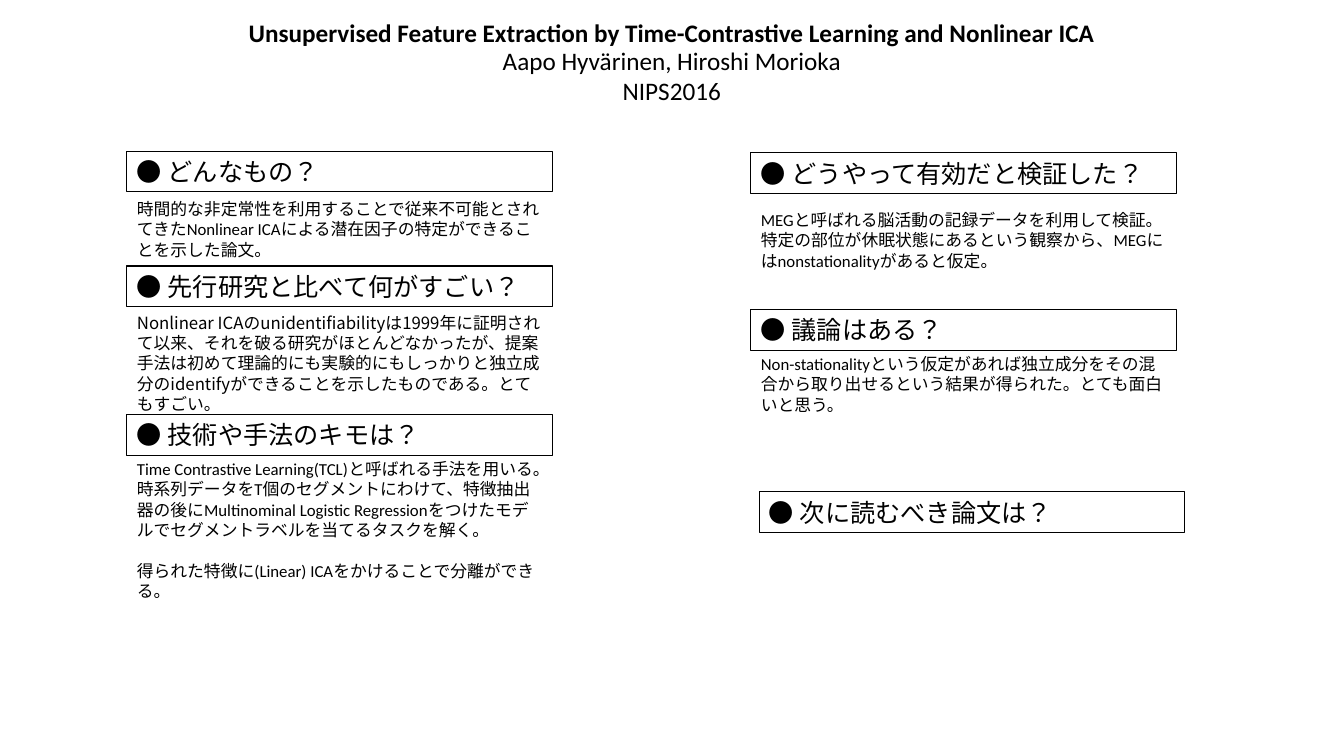
from dataclasses import dataclass

from pptx import Presentation
from pptx.dml.color import RGBColor
from pptx.enum.lang import MSO_LANGUAGE_ID
from pptx.enum.shapes import MSO_SHAPE
from pptx.enum.text import MSO_ANCHOR, MSO_AUTO_SIZE, PP_ALIGN
from pptx.util import Pt


@dataclass(frozen=True)
class Theme:
    """Colours, fonts and type sizes of the slide."""
    ink: RGBColor = RGBColor(0, 0, 0)
    font: str = "Calibri"
    wide_font: str = "Noto Sans CJK JP"
    heading_size: float = 18
    body_size: float = 12
    body_leading: float = 14.5
    rule: float = 0.75


@dataclass(frozen=True)
class Section:
    """A heading with its top and the paragraphs with theirs."""
    heading: str
    top: float
    body_top: float = 0
    body: tuple = ()
    font: str = Theme.font
    indent: float = 0


THEME = Theme()
HEADING_HEIGHT = 29.1
COLUMN_WIDTH = 304
LEFT_SECTIONS = (
    Section("どんなもの？", 108, 138.2, (
        "時間的な非定常性を利用することで従来不可能とされてきたNonlinear ICAによる"
        "潜在因子の特定ができることを示した論文。",)),
    Section("先行研究と比べて何がすごい？", 190, 219.6, (
        "Nonlinear ICAのunidentifiabilityは1999年に証明されて以来、それを破る研究が"
        "ほとんどなかったが、提案手法は初めて理論的にも実験的にもしっかりと独立成分の"
        "identifyができることを示したものである。とてもすごい。",), THEME.wide_font),
    Section("技術や手法のキモは？", 296, 324, (
        "Time Contrastive Learning(TCL)と呼ばれる手法を用いる。",
        "時系列データをT個のセグメントにわけて、特徴抽出器の後にMultinominal Logistic "
        "Regressionをつけたモデルでセグメントラベルを当てるタスクを解く。",
        "得られた特徴に(Linear) ICAをかけることで分離ができる。")),
)
RIGHT_SECTIONS = (
    Section("どうやって有効だと検証した？", 109.2, 146.2, (
        "MEGと呼ばれる脳活動の記録データを利用して検証。特定の部位が休眠状態にあるという"
        "観察から、MEGにはnonstationalityがあると仮定。",)),
    Section("議論はある？", 221, 249.1, (
        "Non-stationalityという仮定があれば独立成分をその混合から取り出せるという結果が"
        "得られた。とても面白いと思う。",)),
    Section("次に読むべき論文は？", 351.4, indent=5.8),
)


def apply(target, values):
    """Set each named attribute of the target."""
    for name, value in values.items():
        setattr(target, name, value)


def write(shape, lines, size, font=THEME.font, bold=False, align=PP_ALIGN.LEFT):
    """Fill a shape with paragraphs in one format and return them."""
    frame = shape.text_frame
    frame.text = "\n".join(lines)
    apply(frame, {
        "word_wrap": True, "auto_size": MSO_AUTO_SIZE.NONE,
        "vertical_anchor": MSO_ANCHOR.TOP,
        "margin_left": Pt(7.2), "margin_right": Pt(7.2),
        "margin_top": Pt(3.6), "margin_bottom": Pt(3.6)})
    for para in frame.paragraphs:
        apply(para, {"alignment": align, "space_before": Pt(0), "line_spacing": 1.0})
        for span in para.runs:
            apply(span.font, {"name": font, "size": Pt(size), "bold": bold,
                              "language_id": MSO_LANGUAGE_ID.JAPANESE})
            span.font.color.rgb = THEME.ink
    return frame.paragraphs


def add_header(page, left, top, width):
    """Place the paper title with authors and venue below it."""
    title = page.shapes.title
    apply(title, {"left": Pt(left), "top": Pt(top), "width": Pt(width),
                  "height": Pt(HEADING_HEIGHT)})
    write(title, ["Unsupervised Feature Extraction by Time-Contrastive Learning "
                  "and Nonlinear ICA"], THEME.heading_size, bold=True,
          align=PP_ALIGN.CENTER)
    authors = page.shapes.add_textbox(Pt(left), Pt(top + 20.2), Pt(width), Pt(51))
    write(authors, ["Aapo Hyvärinen, Hiroshi Morioka", "NIPS2016"],
          THEME.heading_size, align=PP_ALIGN.CENTER)


def add_heading(page, text, left, top, width):
    """Draw an outlined heading bar."""
    bar = page.shapes.add_shape(MSO_SHAPE.RECTANGLE, Pt(left), Pt(top),
                                Pt(width), Pt(HEADING_HEIGHT))
    bar.shadow.inherit = False
    bar.fill.background()
    bar.line.color.rgb = THEME.ink
    bar.line.width = Pt(THEME.rule)
    write(bar, [f"● {text}"], THEME.heading_size)


def add_body(page, section, left, width):
    """Place the paragraphs of a section."""
    box = page.shapes.add_textbox(Pt(left), Pt(section.body_top), Pt(width), Pt(51))
    paras = write(box, section.body, THEME.body_size, section.font)
    for para in paras:
        para.line_spacing = Pt(THEME.body_leading)
    if len(paras) > 1:
        paras[-1].space_before = Pt(THEME.body_leading)
    box.height = Pt(109 if len(paras) > 1 else 80 if section.font != THEME.font else 51)


def add_column(page, sections, left, width):
    """Stack the sections of one column."""
    for section in sections:
        add_heading(page, section.heading, left + section.indent, section.top, width)
        if section.body:
            add_body(page, section, left, width)


def build():
    """Build and save the deck."""
    deck = Presentation()
    apply(deck, {"slide_width": Pt(960), "slide_height": Pt(540)})
    page = deck.slides.add_slide(deck.slide_layouts[5])
    add_header(page, 17.3, 8.6, 925.2)
    add_column(page, LEFT_SECTIONS, 90.7, COLUMN_WIDTH)
    add_column(page, RIGHT_SECTIONS, 536.4, COLUMN_WIDTH)
    deck.save("out.pptx")


build()
